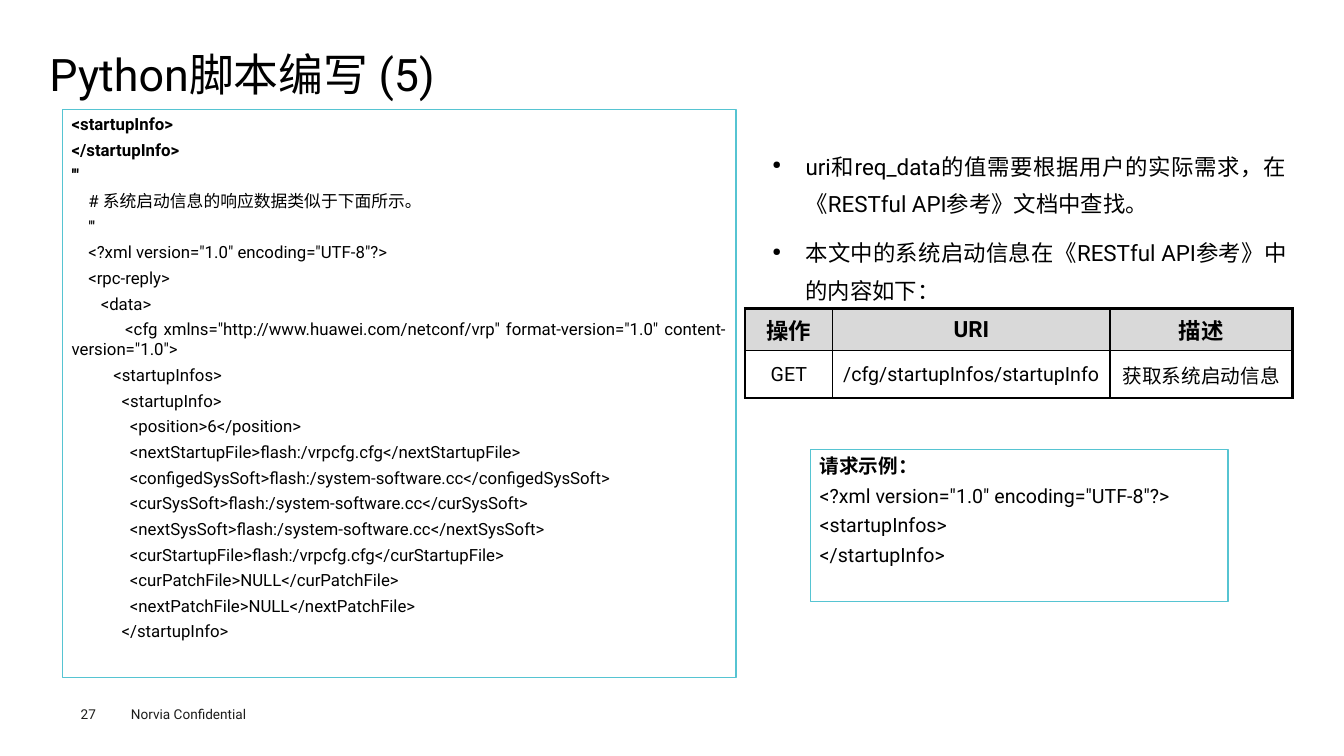
import pptx
import pptx.util
import pptx.dml.color
import pptx.enum.shapes
import pptx.enum.text
import pptx.oxml.ns
from lxml import etree

Inches = pptx.util.Inches
Pt = pptx.util.Pt
ALIGN = pptx.enum.text.PP_ALIGN
ANCHOR = pptx.enum.text.MSO_ANCHOR

RESPONSE_CODE = """<startupInfo>
</startupInfo>
'''
    # 系统启动信息的响应数据类似于下面所示。
    '''
    <?xml version="1.0" encoding="UTF-8"?>
    <rpc-reply>
       <data>
         <cfg xmlns="http://www.huawei.com/netconf/vrp" format-version="1.0" content-version="1.0">
          <startupInfos>
            <startupInfo>
              <position>6</position>
              <nextStartupFile>flash:/vrpcfg.cfg</nextStartupFile>
              <configedSysSoft>flash:/system-software.cc</configedSysSoft>
              <curSysSoft>flash:/system-software.cc</curSysSoft>
              <nextSysSoft>flash:/system-software.cc</nextSysSoft>
              <curStartupFile>flash:/vrpcfg.cfg</curStartupFile>
              <curPatchFile>NULL</curPatchFile>
              <nextPatchFile>NULL</nextPatchFile>
            </startupInfo>"""

REQUEST_CODE = """请求示例：
<?xml version="1.0" encoding="UTF-8"?>
<startupInfos>
</startupInfo>"""

NOTES = [
    "uri和req_data的值需要根据用户的实际需求，在《RESTful API参考》文档中查找。",
    "本文中的系统启动信息在《RESTful API参考》中的内容如下：",
]

OPERATIONS = [
    ["操作", "URI", "描述"],
    ["GET", "/cfg/startupInfos/startupInfo", "获取系统启动信息"],
]


def color(value):
    return pptx.dml.color.RGBColor.from_string(value)


def add_xml(parent, tag, **attributes):
    return etree.SubElement(parent, pptx.oxml.ns.qn(tag), attributes)


class SlideBuilder:
    font = "Roboto"
    ink = "000000"
    footer_ink = "1D1D1B"
    frame_line = "56C4D2"
    header_fill = "D9D9D9"

    def __init__(self, slide):
        self.slide = slide

    def style(self, paragraph, size, bold=False, ink=None, align=ALIGN.LEFT):
        paragraph.alignment = align
        paragraph.font.name = self.font
        paragraph.font.size = Pt(size)
        paragraph.font.bold = bold
        paragraph.font.color.rgb = color(ink or self.ink)

    def frame(self, shape, inset, anchor=ANCHOR.TOP):
        frame = shape.text_frame
        frame.word_wrap = True
        frame.vertical_anchor = anchor
        frame.margin_left = frame.margin_right = Inches(inset[0])
        frame.margin_top = frame.margin_bottom = Inches(inset[1])
        return frame

    def paragraphs(self, frame, lines):
        for index, line in enumerate(lines):
            paragraph = frame.add_paragraph() if index else frame.paragraphs[0]
            paragraph.text = line
            yield index, paragraph

    def label(self, text, box, size, ink=None, inset=(0, 0), anchor=ANCHOR.TOP, spacing=1.0):
        shape = self.slide.shapes.add_textbox(*map(Inches, box))
        paragraph = self.frame(shape, inset, anchor).paragraphs[0]
        paragraph.text = text
        paragraph.line_spacing = spacing
        self.style(paragraph, size, ink=ink)

    def code(self, text, box, size, bold_lines):
        shape = self.slide.shapes.add_shape(
            pptx.enum.shapes.MSO_SHAPE.RECTANGLE, *map(Inches, box))
        shape.shadow.inherit = False
        shape.fill.background()
        shape.line.color.rgb = color(self.frame_line)
        shape.line.width = Pt(0.75)
        frame = self.frame(shape, (0.09, 0.04))
        for index, paragraph in self.paragraphs(frame, text.splitlines()):
            if index:
                paragraph.space_before = Pt(round(size * 0.325, 1))
            self.style(paragraph, size, index < bold_lines, align=ALIGN.JUSTIFY)

    def bullets(self, lines, box, size):
        shape = self.slide.shapes.add_textbox(*map(Inches, box))
        frame = self.frame(shape, (0.09, 0.04))
        for index, paragraph in self.paragraphs(frame, lines):
            paragraph.line_spacing = 1.4
            if index:
                paragraph.space_before = Pt(7.9)
            properties = paragraph._p.get_or_add_pPr()
            properties.set("marL", str(Inches(0.33)))
            properties.set("indent", str(-Inches(0.33)))
            add_xml(properties, "a:buSzPct", val="50000")
            add_xml(properties, "a:buChar", char="●")
            self.style(paragraph, size, align=ALIGN.JUSTIFY)

    def border(self, cell, side, width):
        line = add_xml(cell._tc.get_or_add_tcPr(), f"a:ln{side}", w=str(Pt(width)))
        add_xml(add_xml(line, "a:solidFill"), "a:srgbClr", val=self.ink)

    def table(self, rows, box, widths, heights):
        last_row, last_column = len(rows) - 1, len(widths) - 1
        table = self.slide.shapes.add_table(
            len(rows), len(widths), *map(Inches, box)).table
        for column, width in zip(table.columns, widths):
            column.width = Inches(width)
        for r, (texts, height) in enumerate(zip(rows, heights)):
            table.rows[r].height = Inches(height)
            for c, text in enumerate(texts):
                cell = table.cell(r, c)
                cell.text = text
                cell.vertical_anchor = ANCHOR.MIDDLE
                outer = {"L": c == 0, "R": c == last_column,
                         "T": r == 0, "B": r == last_row}
                for side, is_outer in outer.items():
                    self.border(cell, side, 2.25 if is_outer else 1)
                if r == 0:
                    cell.fill.solid()
                    cell.fill.fore_color.rgb = color(self.header_fill)
                else:
                    cell.fill.background()
                self.style(cell.text_frame.paragraphs[0], 14 if r else 16,
                           r == 0, align=ALIGN.CENTER)


def main():
    deck = pptx.Presentation()
    deck.slide_width = Inches(13.33)
    deck.slide_height = Inches(7.5)
    page = SlideBuilder(deck.slides.add_slide(deck.slide_layouts[6]))

    page.label("Norvia Confidential", (1.2, 6.95, 1.6, 0.27), 9.7,
               page.footer_ink, inset=(0.1, 0.05))
    page.label("27", (0.8, 7, 0.55, 0.16), 9.7, page.footer_ink)
    page.label("Python脚本编写 (5)", (0.49, 0.49, 12.35, 0.54), 32,
               anchor=ANCHOR.MIDDLE, spacing=0.9)
    page.code(RESPONSE_CODE, (0.62, 1.09, 6.68, 5.63), 12, bold_lines=3)
    page.bullets(NOTES, (7.57, 1.37, 5.28, 1.69), 16)
    page.table(OPERATIONS, (7.39, 3.06, 5.43, 0.89), (0.87, 2.75, 1.81), (0.42, 0.47))
    page.code(REQUEST_CODE, (8.04, 4.46, 4.14, 1.51), 14, bold_lines=1)

    deck.save("out.pptx")


if __name__ == "__main__":
    main()
